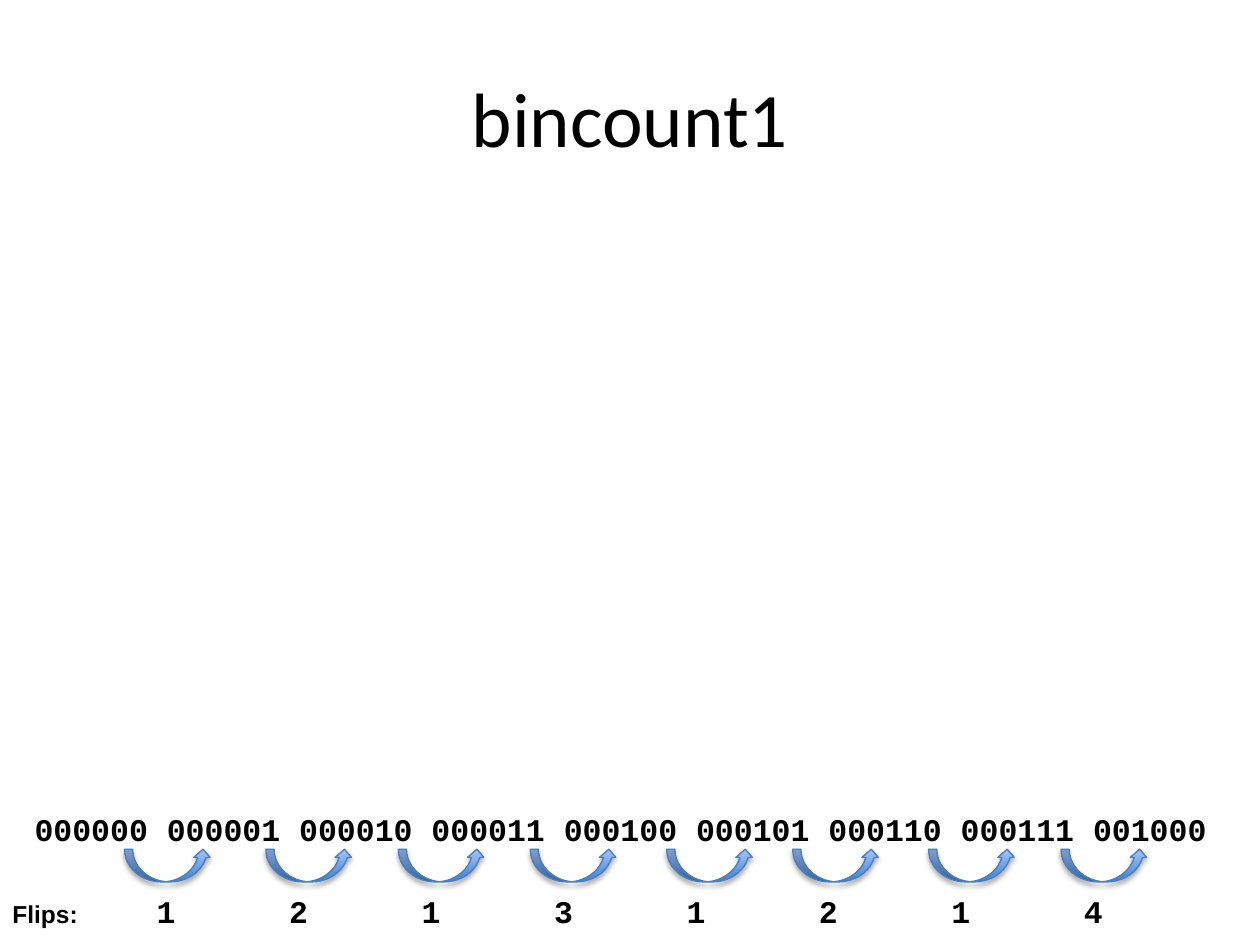
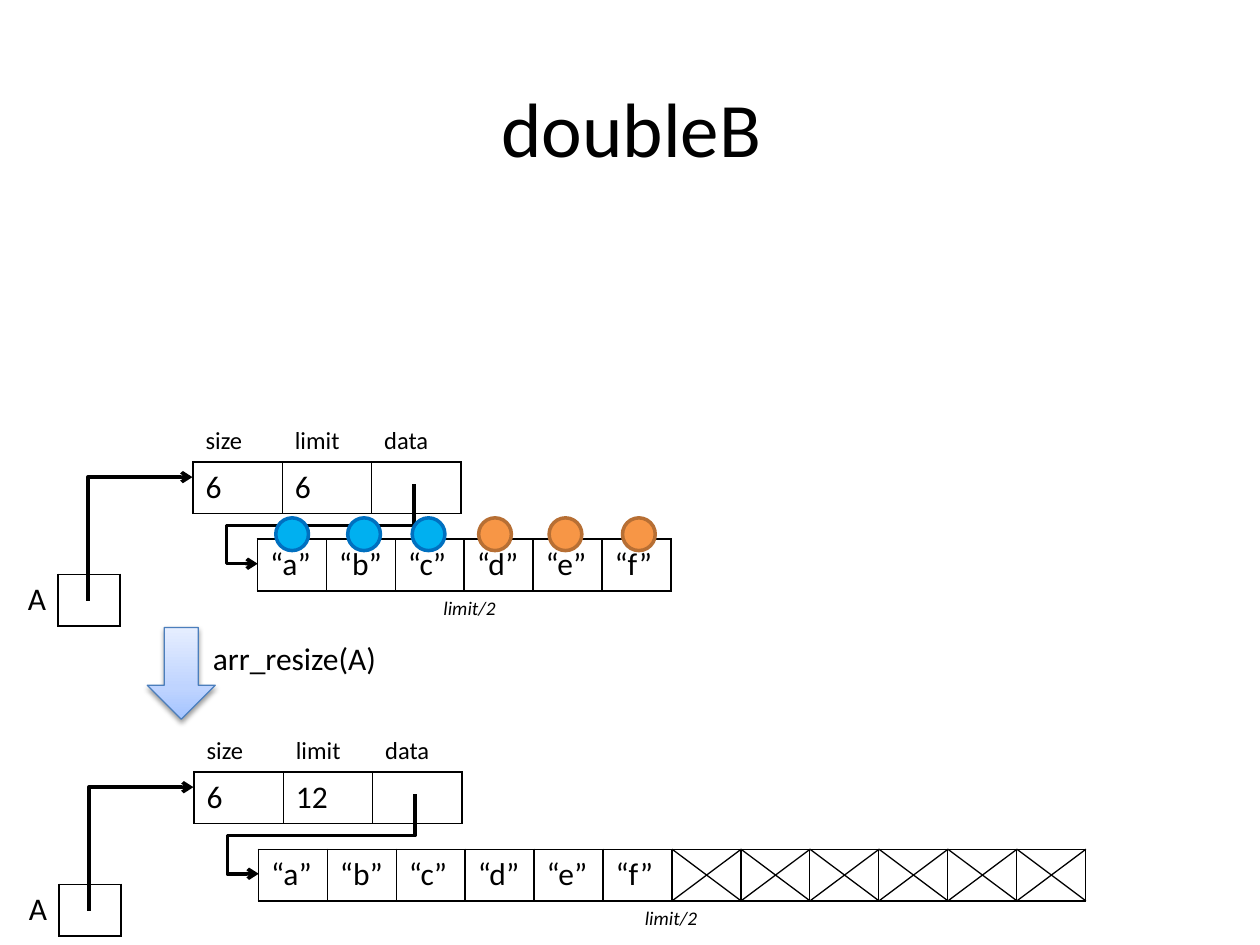
import copy
from dataclasses import dataclass

import pptx
import pptx.dml.color
import pptx.enum.shapes
import pptx.enum.text
import pptx.oxml.ns
import pptx.util
from lxml import etree

Cm = pptx.util.Cm
Pt = pptx.util.Pt
qn = pptx.oxml.ns.qn
SHAPE = pptx.enum.shapes.MSO_SHAPE
CONNECTOR = pptx.enum.shapes.MSO_CONNECTOR
ALIGN = pptx.enum.text.PP_ALIGN


@dataclass(frozen=True)
class Theme:
    ink: str = "000000"
    arrow_line: str = "4B7EBC"
    flip_fill: tuple = ((0, "3F80CE"), (1, "A4C4FF"))
    resize_fill: tuple = ((0, "A4C4FF"), (0.35, "BFD4FF"), (1, "E6EEFF"))
    blue_token: tuple = ("00B0F0", "0070C0")
    orange_token: tuple = ("F79646", "B76F34")
    body_font: str = "Calibri"
    code_font: str = "Courier New"
    label_font: str = "Arial"
    title_size: int = 44
    body_size: int = 18
    small_size: int = 14
    note_size: int = 11
    plain_table: str = "{2D5ABB26-0587-4C30-8999-92F81FD0307C}"


THEME = Theme()
COUNT_PITCH = 2.67
CELL_W = 1.39
ROW_H = 1.04


def rgb(value):
    return pptx.dml.color.RGBColor.from_string(value)


def box(*lengths):
    return [Cm(v) for v in lengths]


def sub(parent, tag, **attrs):
    return etree.SubElement(parent, qn(tag), {k: str(v) for k, v in attrs.items()})


def style(r, size, font=THEME.body_font, bold=None, italic=None):
    r.font.size = Pt(size)
    r.font.name = font
    r.font.bold = bold
    r.font.italic = italic
    r.font.color.rgb = rgb(THEME.ink)


def set_line(line, color, width):
    line.color.rgb = rgb(color)
    line.width = Pt(width)


def add_titled_slide(prs, text, left, top):
    s = prs.slides.add_slide(prs.slide_layouts[5])
    title = s.shapes.title
    title.left, title.top, title.width, title.height = box(left, top, 22.86, 3.18)
    tf = title.text_frame
    tf.text = text
    tf.vertical_anchor = pptx.enum.text.MSO_ANCHOR.MIDDLE
    p = tf.paragraphs[0]
    p.alignment = ALIGN.CENTER
    style(p.runs[0], THEME.title_size)
    return s


def add_text(s, area, text, wrap=False):
    tf = s.shapes.add_textbox(*box(*area)).text_frame
    tf.word_wrap = wrap
    tf.auto_size = pptx.enum.text.MSO_AUTO_SIZE.SHAPE_TO_FIT_TEXT
    tf.text = text
    return tf.paragraphs[0]


def add_block_arrow(s, kind, area, stops, shadow_dist, shadow_alpha):
    sp = s.shapes.add_shape(kind, *box(*area))
    sp.fill.gradient()
    sp.fill.gradient_angle = 90
    gs_list = sp.element.spPr.find(qn("a:gradFill")).find(qn("a:gsLst"))
    while len(gs_list) < len(stops):
        gs_list.append(copy.deepcopy(gs_list[-1]))
    for stop, (position, color) in zip(sp.fill.gradient_stops, stops):
        stop.position = position
        stop.color.rgb = rgb(color)
    set_line(sp.line, THEME.arrow_line, 0.75)
    sp.shadow.inherit = False
    effects = sp.element.spPr.find(qn("a:effectLst"))
    shadow = sub(effects, "a:outerShdw", blurRad=Pt(3.1), dist=Pt(shadow_dist),
                 dir=5400000, rotWithShape=0)
    sub(sub(shadow, "a:srgbClr", val=THEME.ink), "a:alpha", val=shadow_alpha * 1000)


def add_token(s, left, colors):
    fill, line = colors
    sp = s.shapes.add_shape(SHAPE.OVAL, *box(left, 10.44, 0.66, 0.66))
    sp.shadow.inherit = False
    sp.fill.solid()
    sp.fill.fore_color.rgb = rgb(fill)
    set_line(sp.line, line, 2)


def add_line(s, kind, x1, y1, x2, y2, width):
    c = s.shapes.add_connector(kind, *box(x1, y1, x2, y2))
    set_line(c.line, THEME.ink, width)
    sub(c.element.spPr, "a:effectLst")
    return c


def add_pointer(s, left, top, width, height, preset, adjustments=(), flipped=False):
    c = add_line(s, CONNECTOR.ELBOW, left, top, left + width, top + height, 2)
    spPr = c.element.spPr
    xfrm = spPr.find(qn("a:xfrm"))
    xfrm.set("rot", "5400000")
    if flipped:
        xfrm.set("flipH", "1")
        xfrm.set("flipV", "1")
    geom = spPr.find(qn("a:prstGeom"))
    geom.set("prst", preset)
    guides = geom.find(qn("a:avLst"))
    for i, value in enumerate(adjustments, 1):
        sub(guides, "a:gd", name=f"adj{i}", fmla=f"val {value}")
    sub(spPr.find(qn("a:ln")), "a:tailEnd", type="arrow")


def set_borders(cell, edges):
    tcPr = cell._tc.get_or_add_tcPr()
    for edge in edges:
        ln = sub(tcPr, f"a:ln{edge}", w=Pt(1))
        sub(sub(ln, "a:solidFill"), "a:srgbClr", val=THEME.ink)


def add_cells(s, left, top, widths, rows):
    height = sum(row[0] for row in rows)
    shape = s.shapes.add_table(len(rows), len(widths),
                               *box(left, top, sum(widths), height))
    table = shape.table
    table.first_row = table.horz_banding = False
    table._tbl.tblPr.find(qn("a:tableStyleId")).text = THEME.plain_table
    for column, width in zip(table.columns, widths):
        column.width = Cm(width)
    for i, (row_height, size, texts, borders) in enumerate(rows):
        table.rows[i].height = Cm(row_height)
        for j, (text, edges) in enumerate(zip(texts, borders)):
            cell = table.cell(i, j)
            set_borders(cell, edges)
            cell.fill.background()
            cell.text = text
            for r in cell.text_frame.paragraphs[0].runs:
                style(r, size)


def add_cross(s, left, top):
    right, bottom = left + CELL_W, top + ROW_H
    add_line(s, CONNECTOR.STRAIGHT, left, top, right, bottom, 0.75)
    add_line(s, CONNECTOR.STRAIGHT, left, bottom, right, top, 0.75)


def add_array_state(s, left, top, limit, note_left):
    letters = [f"“{c}”" for c in "abcdef"]
    spare = limit - len(letters)
    array_left, array_top = left + 1.3, top + 2.41
    add_cells(s, array_left, array_top, [CELL_W] * limit,
              [(ROW_H, THEME.body_size, letters + [""] * spare, ["LRTB"] * limit)])
    add_cells(s, left, top, [1.8] * 3, [
        (0.84, THEME.small_size, ["size", "limit", "data"], ["B"] * 3),
        (ROW_H, THEME.body_size, [str(len(letters)), str(limit), ""], ["LRTB"] * 3),
    ])
    add_pointer(s, left + 2.08, top + 0.53, 1.6, 3.15, "bentConnector4", (51700, 120100))
    add_cells(s, left - 3.58, top + 3.12, [0.86, 1.25],
              [(ROW_H, THEME.body_size, ["A", ""], ["R", "LRTB"])])
    add_pointer(s, left - 2.31, top + 1.35, 2.49, 2.11, "bentConnector2", flipped=True)
    for i in range(len(letters), limit):
        add_cross(s, array_left + i * CELL_W, array_top)
    p = add_text(s, (note_left, top + 3.43, 1.63, 0.74), "limit/2")
    style(p.runs[0], THEME.note_size, italic=True)


def build_bincount(prs):
    s = add_titled_slide(prs, "bincount1", 1.27, 0.76)
    counts = "".join(f"{n:06b} " for n in range(9))
    p = add_text(s, (0, 15.9, 25.4, 1.27), counts, wrap=True)
    p.alignment = ALIGN.CENTER
    p.line_spacing = 1.4
    style(p.runs[0], THEME.body_size, THEME.code_font, bold=True)

    for left in (2.51, 5.36, 8.03, 10.69, 13.44, 15.98, 18.72, 21.39):
        add_block_arrow(s, SHAPE.CURVED_UP_ARROW, (left, 17.12, 1.75, 0.66),
                        THEME.flip_fill, 1.8, 35)

    flips = [(n ^ (n + 1)).bit_count() for n in range(8)]
    p = add_text(s, (0, 17.55, 25.4, 1.27), "Flips:", wrap=True)
    p.line_spacing = 1.4
    tabs = sub(p._p.get_or_add_pPr(), "a:tabLst")
    for i in range(len(flips)):
        sub(tabs, "a:tab", pos=Cm(3.1 + i * COUNT_PITCH), algn="ctr")
    style(p.runs[0], THEME.small_size, THEME.label_font, bold=True)
    r = p.add_run()
    r.text = "".join(f"\t{n}" for n in flips)
    style(r, THEME.body_size, THEME.code_font, bold=True)


def build_double(prs):
    s = add_titled_slide(prs, "doubleB", 1.3, 0.97)
    add_array_state(s, 3.89, 8.46, 6, 8.69)
    add_block_arrow(s, SHAPE.DOWN_ARROW, (2.97, 12.65, 1.37, 1.85),
                    THEME.resize_fill, 1.6, 38)
    p = add_text(s, (4.04, 12.75, 3.84, 1.02), "arr_resize(A)")
    style(p.runs[0], THEME.body_size)
    add_array_state(s, 3.91, 14.71, 12, 12.75)
    for left in (5.56, 7.01, 8.31):
        add_token(s, left, THEME.blue_token)
    for left in (9.65, 11.07, 12.55):
        add_token(s, left, THEME.orange_token)


def main():
    prs = pptx.Presentation()
    prs.slide_width, prs.slide_height = box(25.4, 19.05)
    build_bincount(prs)
    build_double(prs)
    prs.save("out.pptx")


if __name__ == "__main__":
    main()
